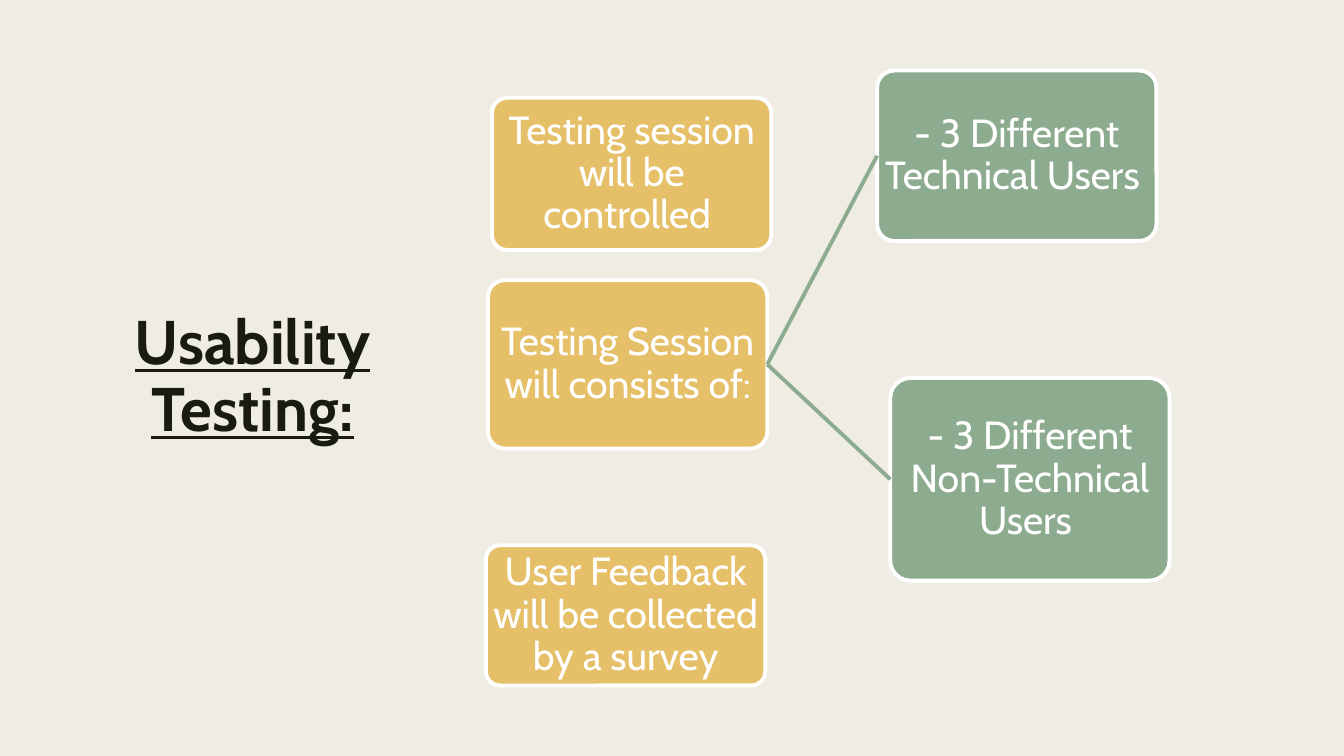
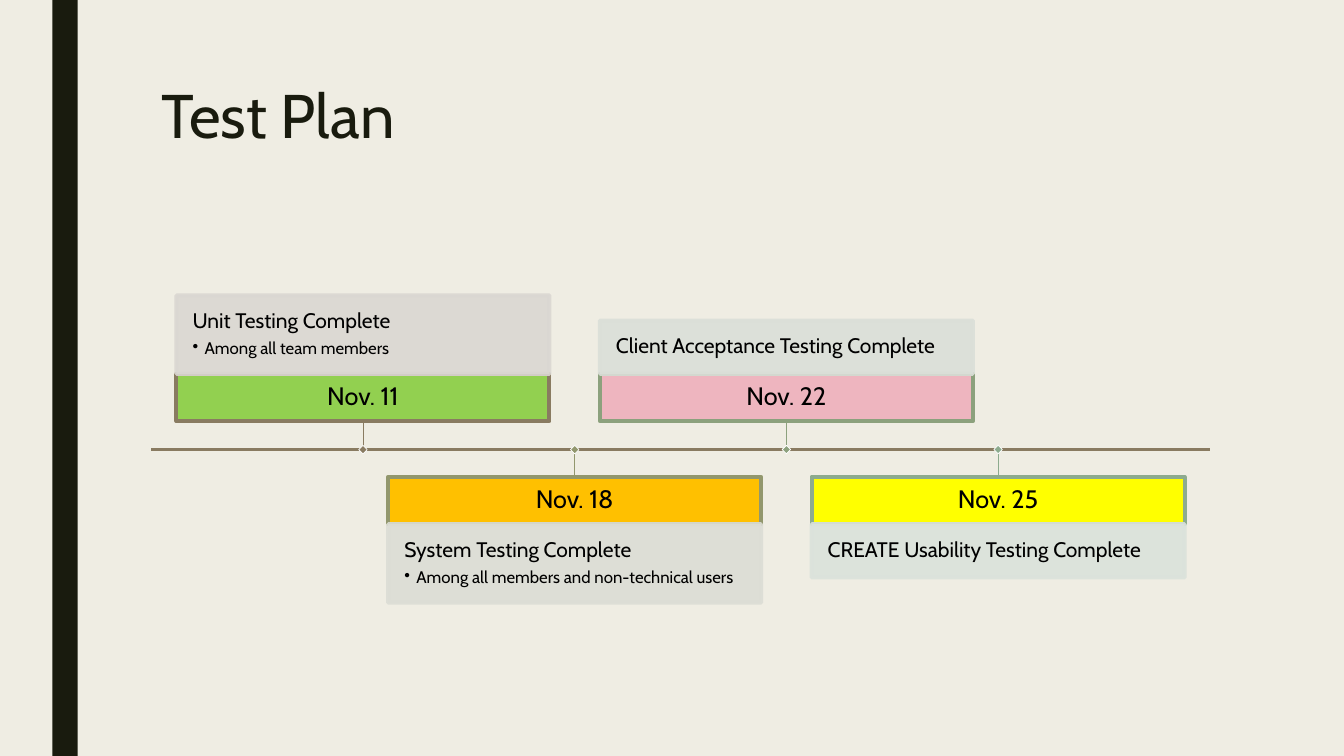
import pptx
import pptx.util
import pptx.dml.color
import pptx.enum.shapes
import pptx.enum.text
import pptx.oxml
import pptx.oxml.ns
from lxml import etree

Inches = pptx.util.Inches
Pt = pptx.util.Pt
qn = pptx.oxml.ns.qn
Kind = pptx.enum.shapes.MSO_SHAPE
Align = pptx.enum.text.PP_ALIGN
Anchor = pptx.enum.text.MSO_ANCHOR
STRAIGHT = pptx.enum.shapes.MSO_CONNECTOR.STRAIGHT

FONT = "Cabin"
PAPER, INK, WHITE, BLACK = "EFEDE3", "191B0E", "FFFFFF", "000000"
GOLD, SAGE, BROWN = "E6C069", "8DAB8E", "897B61"


def paint(fill, color):
    fill.solid()
    fill.fore_color.rgb = pptx.dml.color.RGBColor.from_string(color)


def write(shape, text, size=18, color=BLACK, align=Align.LEFT, anchor=Anchor.MIDDLE,
          inset=0.1, bold=False, under=False, small=12):
    frame = shape.text_frame
    frame.text = text
    frame.word_wrap = True
    frame.auto_size = pptx.enum.text.MSO_AUTO_SIZE.NONE
    frame.vertical_anchor = anchor
    frame.margin_left = frame.margin_right = Inches(inset)
    frame.margin_top = frame.margin_bottom = Inches(min(inset, 0.1))
    for rank, para in enumerate(frame.paragraphs):
        para.alignment = align
        para.line_spacing = 0.9
        font = para.runs[0].font
        font.name = FONT
        font.size = Pt(small if rank else size)
        font.bold = bold
        font.underline = under
        paint(font.fill, color)
        if rank:
            para.space_before = Pt(5)
            props = para._p.get_or_add_pPr()
            props.set("marL", str(Inches(0.12)))
            props.set("indent", str(Inches(-0.12)))
            etree.SubElement(props, qn("a:buChar")).set("char", "•")


deck = pptx.Presentation()
deck.slide_width = Inches(13.33)
deck.slide_height = Inches(7.5)
paint(deck.slide_master.background.fill, PAPER)

heads = [
    ("Usability Testing:", (0.7, 0.7, 3.61, 6.1),
     dict(align=Align.CENTER, bold=True, under=True)),
    ("Test Plan", (1.5, 0.75, 10.5, 1.62), dict(anchor=Anchor.TOP)),
]
for text, place, style in heads:
    slide = deck.slides.add_slide(deck.slide_layouts[5])
    title = slide.shapes.title
    title.left, title.top, title.width, title.height = map(Inches, place)
    write(title, text, size=44, color=INK, **style)
users, plan = deck.slides

cards = [
    ("Testing Session will consists of:", 4.84, 2.78, 1.67, GOLD),
    ("- 3 Different Technical Users ", 8.7, 0.7, 1.69, SAGE),
    ("- 3 Different Non-Technical Users ", 8.83, 3.75, 2.01, SAGE),
    ("Testing session will be controlled ", 4.88, 0.97, 1.51, GOLD),
    ("User Feedback will be collected by a survey", 4.82, 5.41, 1.39, GOLD),
]
boxes = []
for text, left, top, height, color in cards:
    card = users.shapes.add_shape(Kind.ROUNDED_RECTANGLE, Inches(left), Inches(top),
                                  Inches(2.77), Inches(height))
    card.adjustments[0] = 0.1
    paint(card.fill, color)
    paint(card.line.fill, WHITE)
    card.line.width = Pt(2.75)
    write(card, text, size=28, color=WHITE, align=Align.CENTER, inset=0.02)
    boxes.append(card)

root = boxes[0]
for leaf in boxes[1:3]:
    link = users.shapes.add_connector(STRAIGHT, 0, 0, 0, 0)
    link.begin_connect(root, 3)
    link.end_connect(leaf, 1)
    paint(link.line.fill, SAGE)
    link.line.width = Pt(2.75)

band = plan.shapes.add_shape(Kind.RECTANGLE, Inches(0.52), 0, Inches(0.25), deck.slide_height)
paint(band.fill, INK)
band.line.fill.background()

AXIS, WIDE, TALL, GAP, DOT = 4.46, 3.7, 0.47, 0.27, 0.06
axis = plan.shapes.add_connector(STRAIGHT, Inches(1.5), Inches(AXIS), Inches(12), Inches(AXIS))
paint(axis.line.fill, BROWN)
axis.line.width = Pt(2.75)

steps = [
    ("Nov. 11", "Unit Testing Complete\nAmong all team members",
     0.78, "92D050", BROWN, "DAD7D2"),
    ("Nov. 18", "System Testing Complete\nAmong all members and non-technical users",
     0.78, "FFC000", "92976D", "DCDDD5"),
    ("Nov. 22", "Client Acceptance Testing Complete",
     0.53, "EEB5BF", "8CA17D", "DBDFD8"),
    ("Nov. 25", "CREATE Usability Testing Complete",
     0.53, "FFFF00", SAGE, "DBE2DB"),
]
for rank, (day, text, height, color, edge, tint) in enumerate(steps):
    left = 1.75 + 2.1 * rank
    mid = left + WIDE / 2
    below = rank % 2 == 1
    top = AXIS + GAP if below else AXIS - GAP - TALL - 0.01
    side = top + TALL if below else top - height

    date = plan.shapes.add_shape(Kind.RECTANGLE, Inches(left), Inches(top),
                                 Inches(WIDE), Inches(TALL))
    paint(date.fill, color)
    paint(date.line.fill, edge)
    write(date, day, align=Align.CENTER)

    note = plan.shapes.add_shape(Kind.RECTANGLE, Inches(left), Inches(side),
                                 Inches(WIDE), Inches(height))
    paint(note.fill, tint)
    paint(note.line.fill, tint)
    for tone in note._element.spPr.iter(qn("a:srgbClr")):
        etree.SubElement(tone, qn("a:alpha")).set("val", "90000")
    write(note, text, size=15, inset=0.16)
    date.line.width = note.line.width = Pt(2.75)

    stem = plan.shapes.add_connector(STRAIGHT, 0, 0, Inches(mid), Inches(AXIS))
    stem.begin_connect(date, 0 if below else 2)
    paint(stem.line.fill, edge)

    dot = plan.shapes.add_shape(Kind.RECTANGLE, Inches(mid - DOT / 2), Inches(AXIS - DOT / 2),
                                Inches(DOT), Inches(DOT))
    dot.rotation = 45
    paint(dot.fill, edge)
    paint(dot.line.fill, WHITE)
    stem.line.width = dot.line.width = Pt(0.5)

for slide in deck.slides:
    for shape in slide.shapes:
        if shape.is_placeholder:
            continue
        if shape.shape_type == pptx.enum.shapes.MSO_SHAPE_TYPE.LINE:
            etree.SubElement(shape._element.spPr, qn("a:effectLst"))
        else:
            shape.shadow.inherit = False

deck.save("out.pptx")
